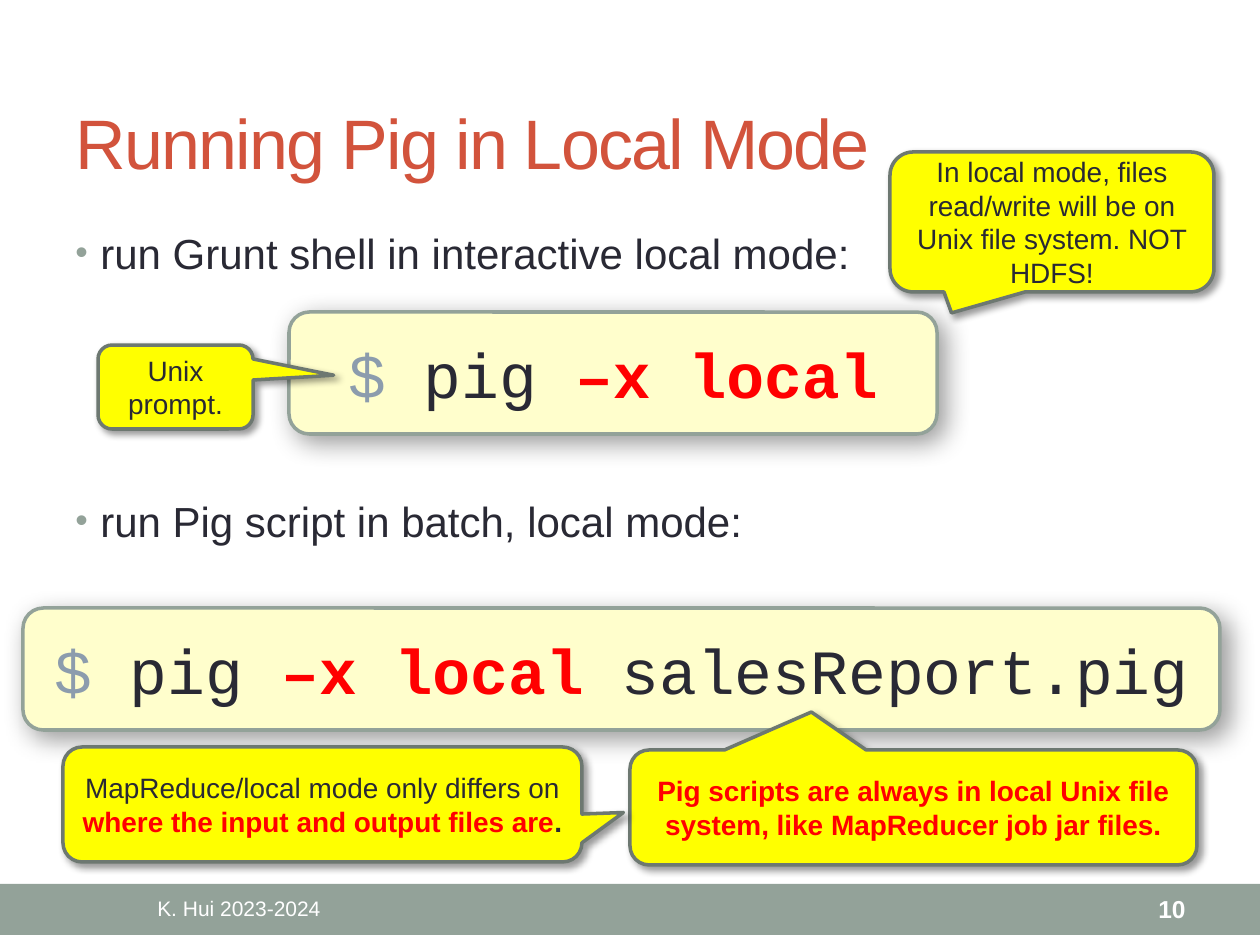
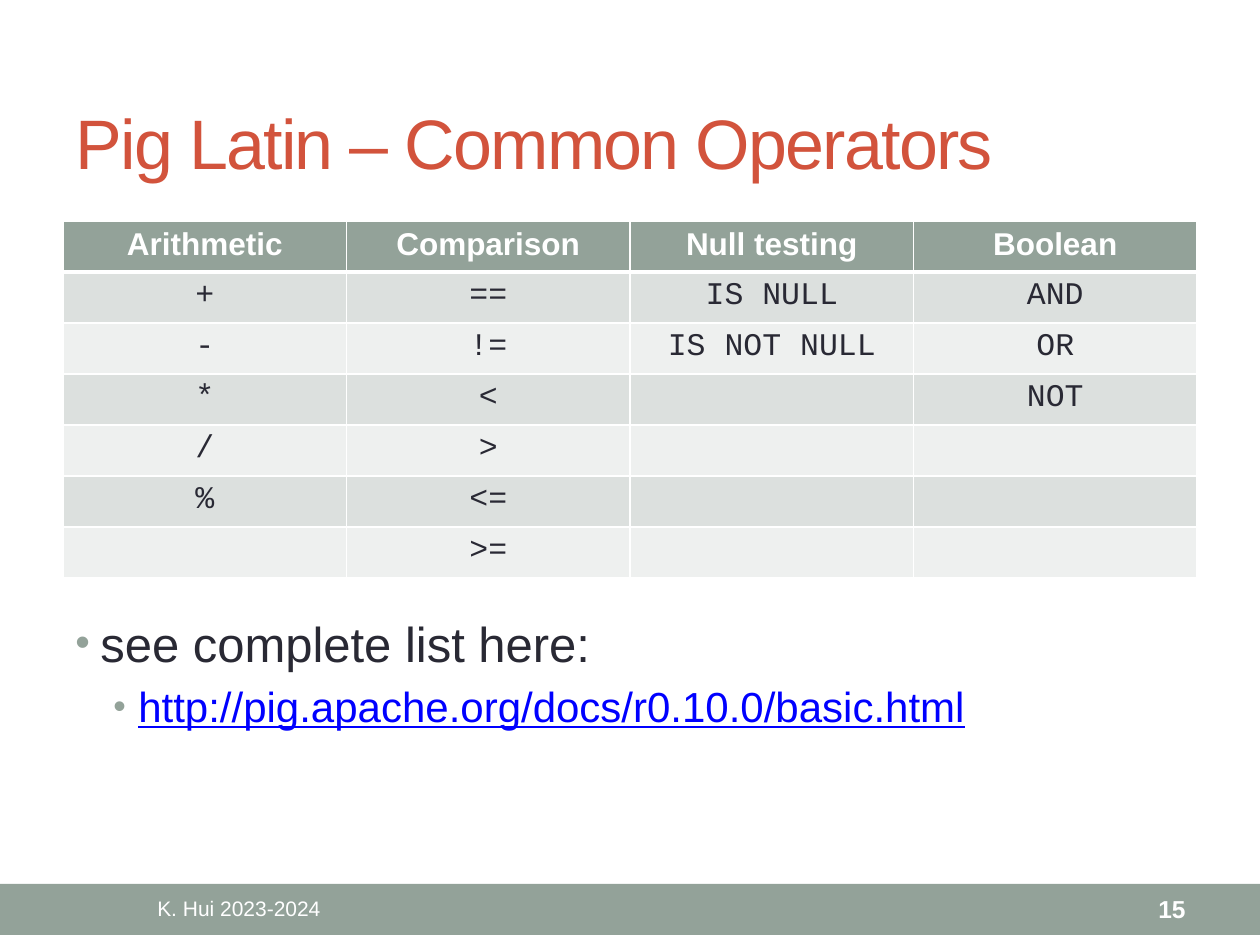
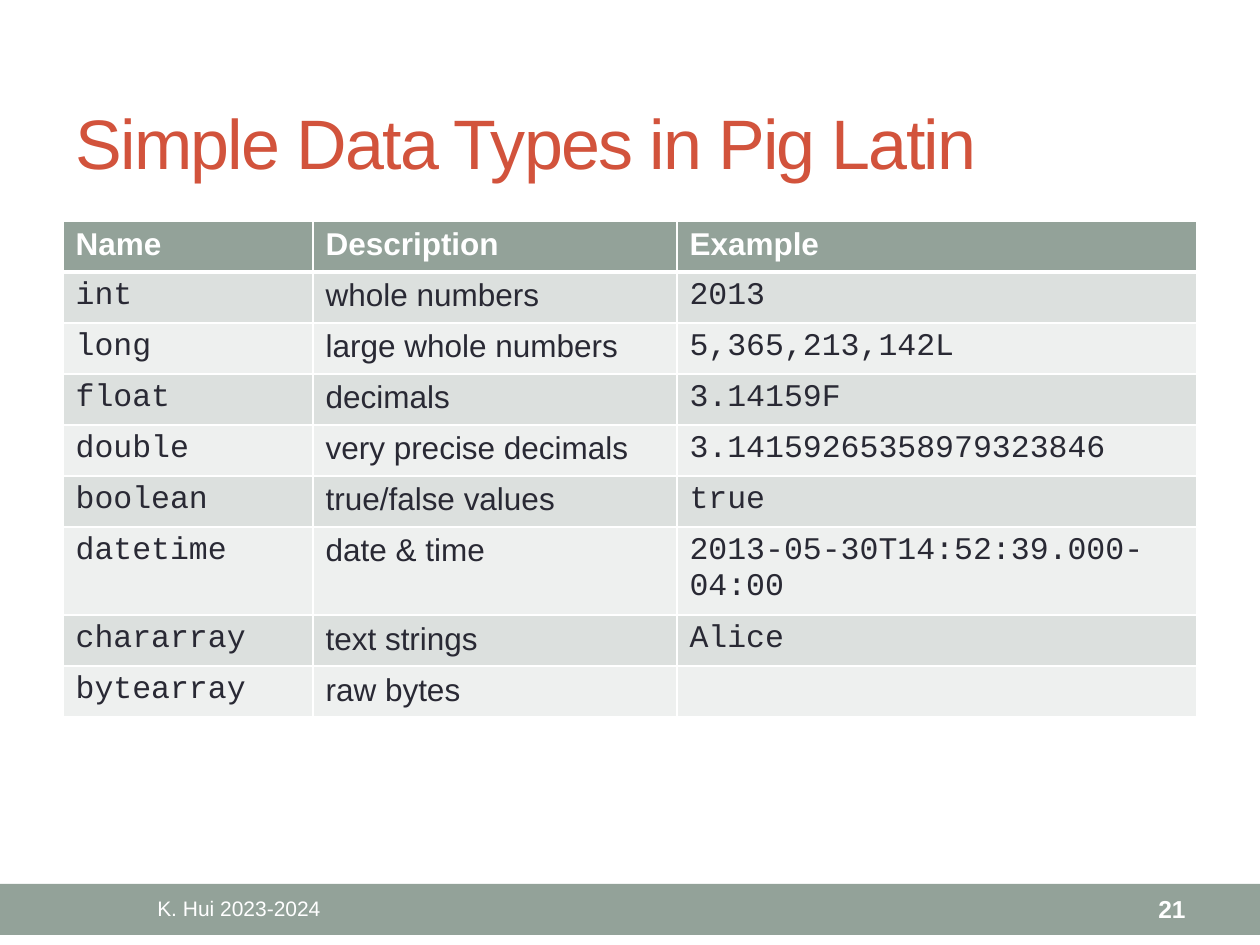
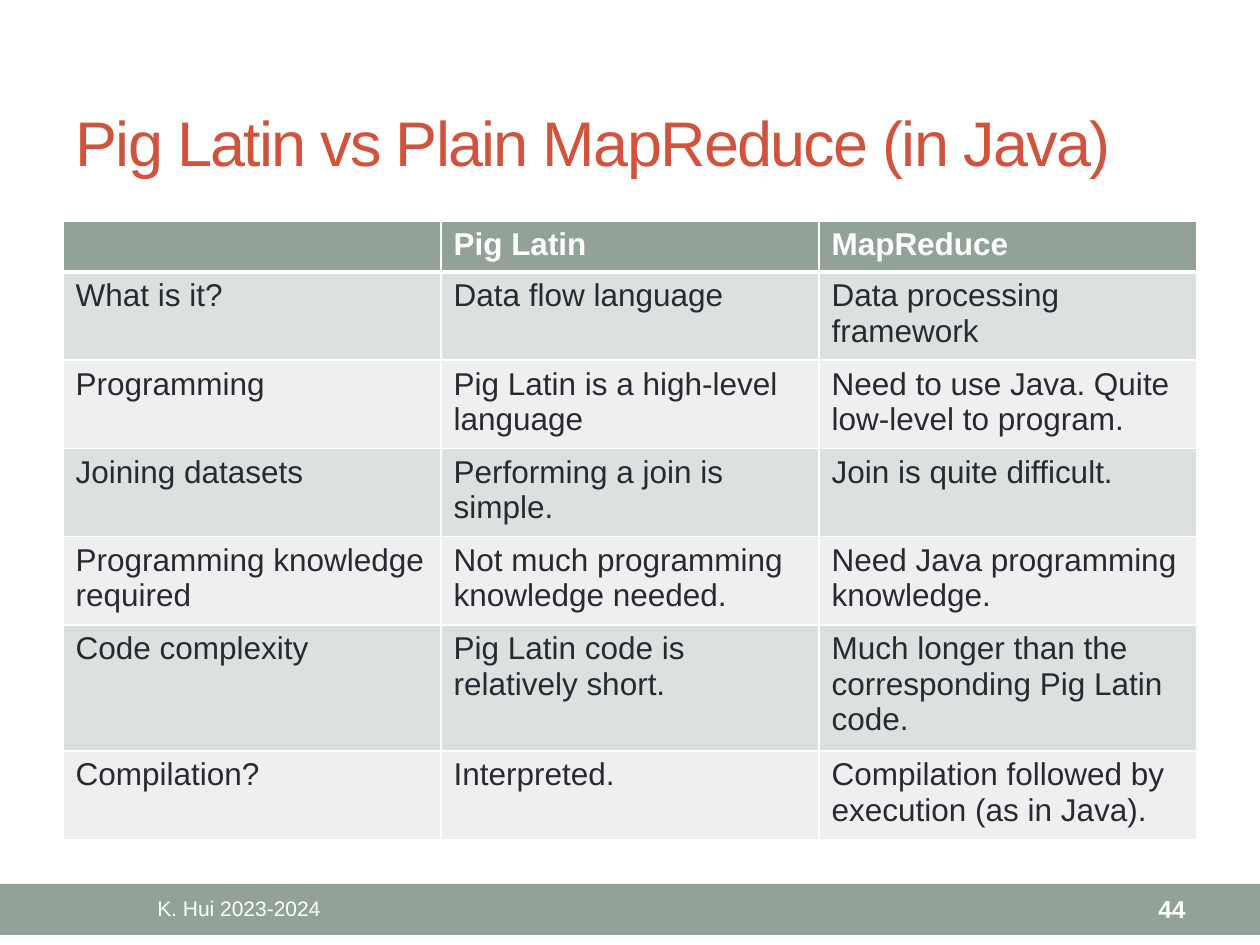
from dataclasses import dataclass

from lxml.etree import SubElement
from pptx import Presentation
from pptx.dml.color import RGBColor
from pptx.enum.shapes import MSO_SHAPE
from pptx.enum.text import MSO_ANCHOR, MSO_AUTO_SIZE, PP_ALIGN
from pptx.oxml.ns import qn
from pptx.util import Emu, Pt

EMU_PER_PX = 914400 / 126


@dataclass(frozen=True)
class Theme:
    sans: str = "Arial"
    mono: str = "Courier New"
    sage: str = "93A299"
    title: str = "D2533C"
    ink: str = "292934"
    white: str = "FFFFFF"
    red: str = "FF0000"
    prompt: str = "8C9CAD"
    link: str = "0000FF"
    code_fill: str = "FFFECC"
    note_fill: str = "FFFF00"
    note_line: str = "6D7871"
    row_fills: tuple = ("DCE0DE", "EEF0EF")
    title_size: int = 40
    code_size: int = 36
    lead_size: int = 28
    bullet_size: int = 24
    cell_size: int = 18
    note_size: int = 16
    number_size: int = 14
    footer_size: int = 12


THEME = Theme()

LEFT, CONTENT_WIDTH = 63, 1134
TABLE_TOP, ROW_HEIGHT = 221, 51
BAND_TOP, BAND_HEIGHT = 884, 51
FOOTER_TOP, FOOTER_HEIGHT = 886, 45

OPERATORS = [
    ["Arithmetic", "Comparison", "Null testing", "Boolean"],
    ["+", "==", "IS NULL", "AND"],
    ["-", "!=", "IS NOT NULL", "OR"],
    ["*", "<", "", "NOT"],
    ["/", ">", "", ""],
    ["%", "<=", "", ""],
    ["", ">=", "", ""],
]
DATA_TYPES = [
    ["Name", "Description", "Example"],
    ["int", "whole numbers", "2013"],
    ["long", "large whole numbers", "5,365,213,142L"],
    ["float", "decimals", "3.14159F"],
    ["double", "very precise decimals", "3.14159265358979323846"],
    ["boolean", "true/false values", "true"],
    ["datetime", "date & time", "2013-05-30T14:52:39.000-04:00"],
    ["chararray", "text strings", "Alice"],
    ["bytearray", "raw bytes", ""],
]
COMPARISON = [
    ["", "Pig Latin", "MapReduce"],
    ["What is it?", "Data flow language", "Data processing framework"],
    ["Programming", "Pig Latin is a high-level language",
     "Need to use Java. Quite low-level to program."],
    ["Joining datasets", "Performing a join is simple.",
     "Join is quite difficult."],
    ["Programming knowledge required", "Not much programming knowledge needed.",
     "Need Java programming knowledge."],
    ["Code complexity", "Pig Latin code is relatively short.",
     "Much longer than the corresponding Pig Latin code."],
    ["Compilation?", "Interpreted.",
     "Compilation followed by execution (as in Java)."],
]


def px(length):
    return Emu(round(length * EMU_PER_PX))


def px_box(box):
    return [px(length) for length in box]


def rgb(color):
    return RGBColor.from_string(color)


def style_font(font, size, color, name=THEME.sans, bold=False):
    font.name = name
    font.size = Pt(size)
    font.bold = bold
    font.color.rgb = rgb(color)


def add_runs(paragraph, runs):
    """Add (text, colour, bold) runs that differ from the paragraph's font."""
    for text, color, bold in runs:
        run = paragraph.add_run()
        run.text = text
        run.font.color.rgb = rgb(color)
        run.font.bold = bold


def add_text(slide, box, anchor=MSO_ANCHOR.TOP):
    frame = slide.shapes.add_textbox(*px_box(box)).text_frame
    frame.word_wrap = True
    frame.vertical_anchor = anchor
    return frame


def add_band(layout, slide):
    """Draw the footer band and move it to the layout all slides share."""
    band = slide.shapes.add_shape(
        MSO_SHAPE.RECTANGLE, *px_box((0, BAND_TOP, 1260, BAND_HEIGHT)))
    band.fill.solid()
    band.fill.fore_color.rgb = rgb(THEME.sage)
    band.line.fill.background()
    band.shadow.inherit = False
    band.element.nvSpPr.cNvPr.id = 100
    layout.shapes.element.insert(2, band.element)


def add_footer(slide, left, width, text, size, align, bold=False):
    frame = add_text(slide, (left, FOOTER_TOP, width, FOOTER_HEIGHT),
                     MSO_ANCHOR.MIDDLE)
    paragraph = frame.paragraphs[0]
    paragraph.text = text
    paragraph.alignment = align
    style_font(paragraph.font, size, THEME.white, bold=bold)


def add_slide(deck, layout, title, number, title_size=THEME.title_size):
    slide = deck.slides.add_slide(layout)
    heading = slide.shapes.title
    heading.left, heading.top, heading.width, heading.height = px_box(
        (LEFT, 73, CONTENT_WIDTH, 136))
    frame = heading.text_frame
    frame.vertical_anchor = MSO_ANCHOR.MIDDLE
    frame.auto_size = MSO_AUTO_SIZE.NONE
    paragraph = frame.paragraphs[0]
    paragraph.text = title
    paragraph.alignment = PP_ALIGN.LEFT
    style_font(paragraph.font, title_size, THEME.title)
    paragraph.runs[0].font._element.set("spc", "-100")
    add_footer(slide, LEFT, 352, "K. Hui 2023-2024", THEME.footer_size,
               PP_ALIGN.CENTER)
    add_footer(slide, 1051, 147, str(number), THEME.number_size,
               PP_ALIGN.RIGHT, bold=True)
    return slide


def add_bullet_mark(paragraph, margin, hanging=25):
    props = paragraph._p.get_or_add_pPr()
    props.set("marL", str(px(margin)))
    props.set("indent", str(-px(hanging)))
    color = SubElement(props, qn("a:buClr"))
    SubElement(color, qn("a:srgbClr"), val=THEME.sage)
    SubElement(props, qn("a:buSzPct"), val="85000")
    SubElement(props, qn("a:buFont"), typeface=THEME.sans)
    SubElement(props, qn("a:buChar"), char="•")


def add_bullet(paragraph, text, size=THEME.bullet_size, color=THEME.ink,
               margin=25):
    paragraph.text = text
    add_bullet_mark(paragraph, margin)
    style_font(paragraph.font, size, color)


def add_shadow(shape, blur, distance):
    shape.shadow.inherit = False
    effects = shape.element.spPr.find(qn("a:effectLst"))
    shadow = SubElement(effects, qn("a:outerShdw"), blurRad=str(Pt(blur)),
                        dist=str(Pt(distance)), dir="2700000", algn="tl",
                        rotWithShape="0")
    color = SubElement(shadow, qn("a:srgbClr"), val="000000")
    SubElement(color, qn("a:alpha"), val="40000")


def add_panel(slide, kind, box, fill, line):
    """Add an outlined shape with centred text; return it and its paragraph."""
    panel = slide.shapes.add_shape(kind, *px_box(box))
    panel.fill.solid()
    panel.fill.fore_color.rgb = rgb(fill)
    panel.line.color.rgb = rgb(line)
    panel.line.width = Pt(2)
    frame = panel.text_frame
    frame.word_wrap = True
    frame.vertical_anchor = MSO_ANCHOR.MIDDLE
    paragraph = frame.paragraphs[0]
    paragraph.alignment = PP_ALIGN.CENTER
    return panel, paragraph


def add_command(slide, box, *arguments):
    panel, paragraph = add_panel(slide, MSO_SHAPE.ROUNDED_RECTANGLE, box,
                                 THEME.code_fill, THEME.sage)
    add_shadow(panel, blur=15, distance=5)
    style_font(paragraph.font, THEME.code_size, THEME.ink, THEME.mono)
    add_runs(paragraph, [("$", THEME.prompt, False),
                         (" pig ", THEME.ink, False), *arguments])


def add_callout(slide, box, tip, *runs):
    """Add a callout whose tip is given relative to its centre and size."""
    panel, paragraph = add_panel(slide, MSO_SHAPE.ROUNDED_RECTANGULAR_CALLOUT,
                                 box, THEME.note_fill, THEME.note_line)
    panel.adjustments[0], panel.adjustments[1] = tip
    add_shadow(panel, blur=4, distance=3)
    style_font(paragraph.font, THEME.note_size, THEME.ink)
    add_runs(paragraph, runs)


def add_border(cell, edge, width):
    line = SubElement(cell._tc.get_or_add_tcPr(), qn(f"a:{edge}"),
                      w=str(Pt(width)))
    fill = SubElement(line, qn("a:solidFill"))
    SubElement(fill, qn("a:srgbClr"), val=THEME.white)


def style_cell(cell, is_header, fill, font_name, align):
    add_border(cell, "lnL", 1)
    add_border(cell, "lnR", 1)
    if is_header:
        add_border(cell, "lnT", 1)
    add_border(cell, "lnB", 3 if is_header else 1)
    cell.fill.solid()
    cell.fill.fore_color.rgb = rgb(fill)
    paragraph = cell.text_frame.paragraphs[0]
    paragraph.alignment = align
    style_font(paragraph.font, THEME.cell_size,
               THEME.white if is_header else THEME.ink, font_name, is_header)


def add_grid(slide, rows, widths, column_fonts, align=PP_ALIGN.LEFT):
    box = (LEFT, TABLE_TOP, CONTENT_WIDTH, ROW_HEIGHT * len(rows))
    table = slide.shapes.add_table(len(rows), len(widths), *px_box(box)).table
    for column, width in zip(table.columns, widths):
        column.width = px(width)
    for r, row in enumerate(rows):
        table.rows[r].height = px(ROW_HEIGHT)
        is_header = r == 0
        fill = THEME.sage if is_header else THEME.row_fills[(r - 1) % 2]
        for c, text in enumerate(row):
            cell = table.cell(r, c)
            cell.text = text
            font_name = THEME.sans if is_header else column_fonts[c]
            style_cell(cell, is_header, fill, font_name, align)


def fill_local_mode(slide):
    interactive = add_text(slide, (LEFT, 221, CONTENT_WIDTH, 137))
    add_bullet(interactive.paragraphs[0],
               "run Grunt shell in interactive local mode:")
    add_callout(slide, (890, 152, 324, 140), (-0.31, 0.65),
                ("In local mode, files read/write will be on Unix file system."
                 " NOT HDFS!", THEME.ink, False))
    add_command(slide, (289, 312, 648, 122), ("–x local", THEME.red, True))
    add_command(slide, (23, 608, 1197, 122), ("–x local ", THEME.red, True),
                ("salesReport.pig", THEME.ink, False))
    batch = add_text(slide, (LEFT, 489, CONTENT_WIDTH, 130))
    add_bullet(batch.paragraphs[0], "run Pig script in batch, local mode:")
    add_callout(slide, (630, 750, 567, 115), (-0.18, -0.83),
                ("Pig scripts are always in local Unix file system, like "
                 "MapReducer job jar files.", THEME.red, True))
    add_callout(slide, (98, 345, 155, 84), (1.02, -0.14),
                ("Unix prompt.", THEME.ink, False))
    add_callout(slide, (LEFT, 747, 519, 115), (0.58, 0.07),
                ("MapReduce/local mode only differs on ", THEME.ink, False),
                ("where the input and output files are", THEME.red, True),
                (".", THEME.ink, True))


def fill_operators(slide):
    add_grid(slide, OPERATORS, [CONTENT_WIDTH / 4] * 4, [THEME.mono] * 4,
             PP_ALIGN.CENTER)
    reference = add_text(slide, (LEFT, 607, CONTENT_WIDTH, 263))
    add_bullet(reference.paragraphs[0], "see complete list here:",
               THEME.lead_size)
    address = reference.add_paragraph()
    address.level = 1
    add_bullet(address, "http://pig.apache.org/docs/r0.10.0/basic.html",
               color=THEME.link, margin=63)
    address.space_before = Pt(5)
    address.font.underline = True


def main():
    deck = Presentation()
    deck.slide_width, deck.slide_height = px(1260), px(945)
    layout = deck.slide_layouts.get_by_name("Title Only")

    local_mode = add_slide(deck, layout, "Running Pig in Local Mode", 10)
    add_band(layout, local_mode)
    fill_local_mode(local_mode)

    fill_operators(add_slide(deck, layout, "Pig Latin – Common Operators", 15))

    data_types = add_slide(deck, layout, "Simple Data Types in Pig Latin", 21)
    add_grid(data_types, DATA_TYPES, [250, 364, 520],
             [THEME.mono, THEME.sans, THEME.mono])

    comparison = add_slide(deck, layout, "Pig Latin vs Plain MapReduce (in Java)",
                           44, title_size=36)
    add_grid(comparison, COMPARISON, [CONTENT_WIDTH / 3] * 3, [THEME.sans] * 3)

    deck.save("out.pptx")


if __name__ == "__main__":
    main()
